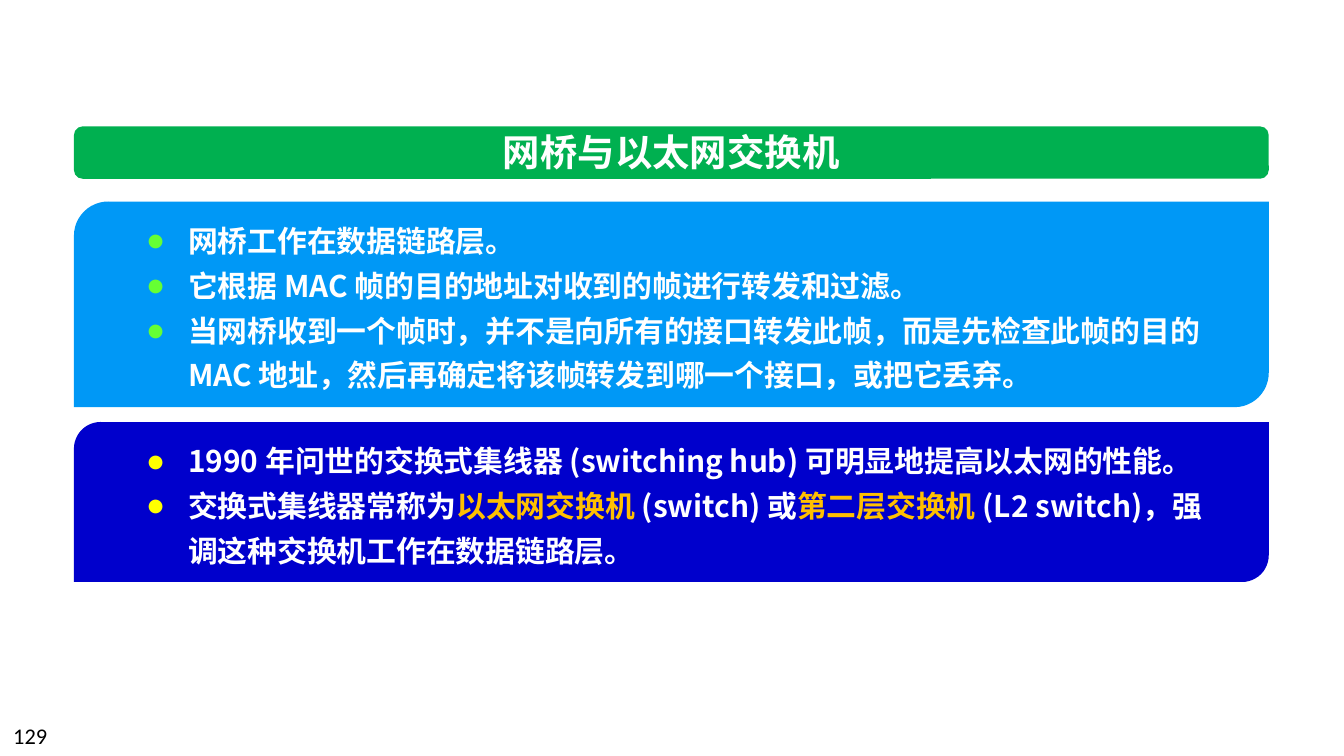
from dataclasses import dataclass

from lxml import etree
from pptx import Presentation
from pptx.dml.color import RGBColor
from pptx.enum.shapes import MSO_SHAPE
from pptx.enum.text import MSO_ANCHOR, MSO_AUTO_SIZE, PP_ALIGN
from pptx.oxml.ns import qn
from pptx.util import Inches, Pt

ROUND = MSO_SHAPE.ROUNDED_RECTANGLE
DIAGONAL = MSO_SHAPE.ROUND_2_DIAG_RECTANGLE
TOP, MIDDLE = MSO_ANCHOR.TOP, MSO_ANCHOR.MIDDLE
NO_FIT = MSO_AUTO_SIZE.NONE
LEFT, CENTER = PP_ALIGN.LEFT, PP_ALIGN.CENTER

WHITE = RGBColor(0xFF, 0xFF, 0xFF)
BLACK = RGBColor(0x00, 0x00, 0x00)
GREEN = RGBColor(0x00, 0xB0, 0x50)
BLUE = RGBColor(0x00, 0x98, 0xF6)
NAVY = RGBColor(0x00, 0x00, 0xCC)
LIME = RGBColor(0x66, 0xFF, 0x33)
YELLOW = RGBColor(0xFF, 0xFF, 0x00)
GOLD = RGBColor(0xFF, 0xC0, 0x00)

CJK_FONT = "Noto Sans CJK SC"
LATIN_FONT = "Calibri"
CARD_LEFT, CARD_WIDTH = 0.55, 8.89
TEXT_LEFT, TEXT_WIDTH = 0.99, 8.15
TEXT_INSET = 0.04
INDENT = 0.31


@dataclass
class Span:
    text: str
    color: RGBColor = WHITE


@dataclass
class Card:
    top: float
    height: float
    fill: RGBColor
    bullet: RGBColor
    items: list[list[Span]]


CARDS = [
    Card(1.5, 1.53, BLUE, LIME, [
        [Span("网桥工作在数据链路层。")],
        [Span("它根据 MAC 帧的目的地址对收到的帧进行转发和过滤。")],
        [Span("当网桥收到一个帧时，并不是向所有的接口转发此帧，而是先检查此帧的目的 MAC 地址，"
              "然后再确定将该帧转发到哪一个接口，或把它丢弃。")],
    ]),
    Card(3.14, 1.19, NAVY, YELLOW, [
        [Span("1990 年问世的交换式集线器 (switching hub) 可明显地提高以太网的性能。")],
        [Span("交换式集线器常称为"), Span("以太网交换机 ", GOLD), Span("(switch) 或"),
         Span("第二层交换机 ", GOLD), Span("(L2 switch)，强调这种交换机工作在数据链路层。")],
    ]),
]


def add_panel(s, kind: MSO_SHAPE, top: float, height: float, fill: RGBColor) -> None:
    sp = s.shapes.add_shape(kind, Inches(CARD_LEFT), Inches(top),
                            Inches(CARD_WIDTH), Inches(height))
    sp.shadow.inherit = False
    sp.fill.solid()
    sp.fill.fore_color.rgb = fill
    sp.line.fill.background()


def place_text(sp, left: float, top: float, width: float, height: float,
               anchor: MSO_ANCHOR, wrap: bool = True):
    sp.left, sp.top = Inches(left), Inches(top)
    sp.width, sp.height = Inches(width), Inches(height)
    sp._element.getparent().append(sp._element)
    tf = sp.text_frame
    tf.auto_size = NO_FIT
    tf.word_wrap = wrap
    tf.vertical_anchor = anchor
    return tf


def add_run(p, span: Span, size: float, font: str, bold: bool) -> None:
    r = p.add_run()
    r.text = span.text
    r.font.size = Pt(size)
    r.font.bold = bold
    r.font.color.rgb = span.color
    r.font.name = font
    etree.SubElement(r._r.get_or_add_rPr(), qn("a:ea"), typeface=font)


def set_bullet(p, color: RGBColor) -> None:
    pPr = p._p.get_or_add_pPr()
    pPr.set("marL", str(Inches(INDENT)))
    pPr.set("indent", str(-Inches(INDENT)))
    clr = etree.SubElement(pPr, qn("a:buClr"))
    etree.SubElement(clr, qn("a:srgbClr"), val=str(color))
    etree.SubElement(pPr, qn("a:buFont"), typeface=LATIN_FONT)
    etree.SubElement(pPr, qn("a:buChar"), char="●")


def add_card(s, sp, card: Card) -> None:
    add_panel(s, DIAGONAL, card.top, card.height, card.fill)
    tf = place_text(sp, TEXT_LEFT, card.top + TEXT_INSET, TEXT_WIDTH,
                    card.height - 2 * TEXT_INSET, TOP)
    for i, spans in enumerate(card.items):
        p = tf.add_paragraph() if i else tf.paragraphs[0]
        p.alignment = LEFT
        p.line_spacing = Pt(24)
        p.space_before = p.space_after = Pt(0)
        set_bullet(p, card.bullet)
        for span in spans:
            add_run(p, span, 16, CJK_FONT, True)


def main() -> None:
    prs = Presentation()
    prs.slide_width = Inches(10)
    prs.slide_height = prs.slide_width * 9 // 16
    s = prs.slides.add_slide(prs.slide_layouts[3])
    title, *bodies = list(s.placeholders)

    for sp, card in zip(bodies, CARDS):
        add_card(s, sp, card)

    add_panel(s, ROUND, 0.94, 0.39, GREEN)
    p = place_text(title, 3.63, 0.91, 2.73, 0.44, MIDDLE, False).paragraphs[0]
    p.alignment = CENTER
    add_run(p, Span("网桥与以太网交换机"), 20, CJK_FONT, True)

    number = s.shapes.add_textbox(0, 0, 0, 0)
    p = place_text(number, 0, 5.32, 2.33, 0.3, MIDDLE).paragraphs[0]
    add_run(p, Span("129", BLACK), 12, LATIN_FONT, False)

    prs.save("out.pptx")


if __name__ == "__main__":
    main()
